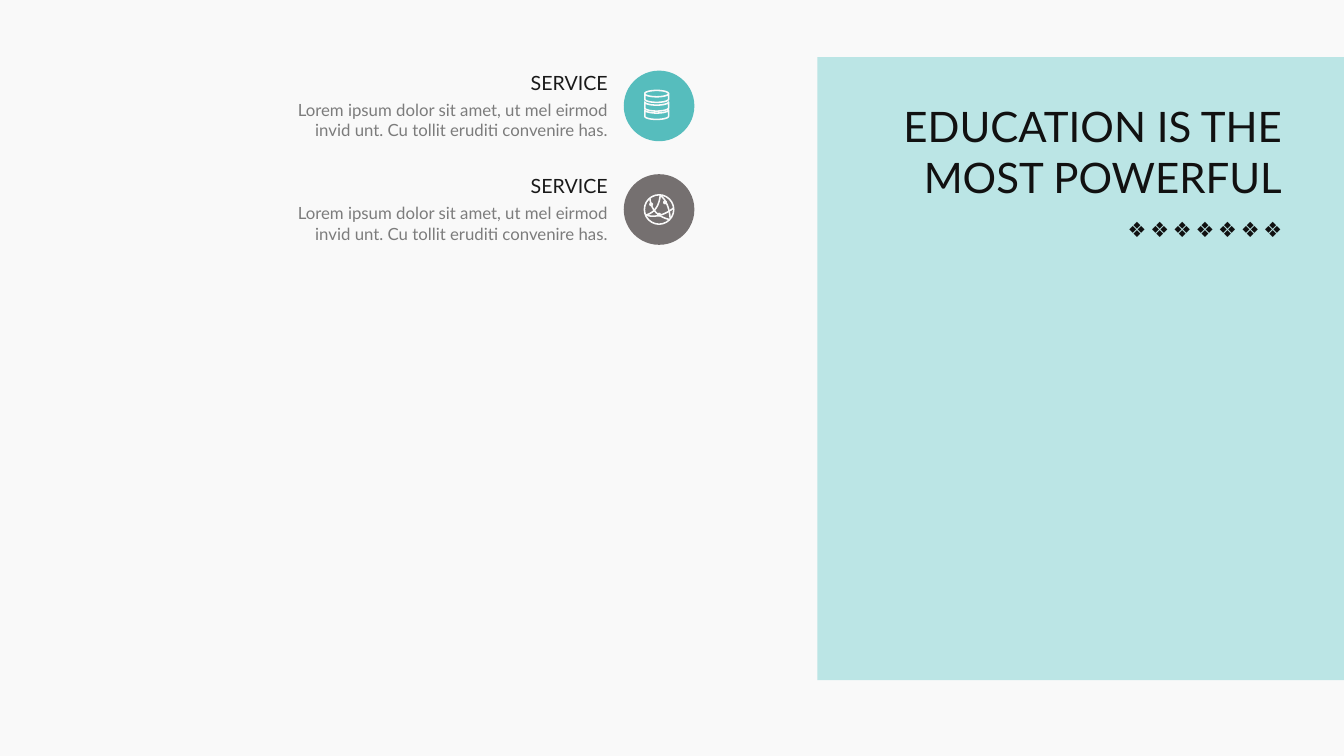
import math
from dataclasses import dataclass

import pptx
import pptx.dml.color
import pptx.enum.shapes
import pptx.enum.text
import pptx.shapes.autoshape
import pptx.slide
import pptx.util

Cm = pptx.util.Cm
RGBColor = pptx.dml.color.RGBColor
Align = pptx.enum.text.PP_ALIGN
Preset = pptx.enum.shapes.MSO_SHAPE
Point = tuple[float, float]

PAPER = RGBColor(0xF9, 0xF9, 0xF9)
PALE_TEAL = RGBColor(0xBB, 0xE5, 0xE5)
TEAL = RGBColor(0x56, 0xBD, 0xBD)
WARM_GREY = RGBColor(0x75, 0x70, 0x70)
INK = RGBColor(0x11, 0x11, 0x11)
HEADING_INK = RGBColor(0x19, 0x19, 0x19)
BODY_GREY = RGBColor(0x7C, 0x7C, 0x7C)

SLIDE_WIDTH, SLIDE_HEIGHT = 33.87, 19.05
PANEL_LEFT = 20.6
BADGE_LEFT, BADGE_SIZE = 15.72, 1.78
TEXT_RIGHT = 15.32
SERVICE_TOP, SERVICE_PITCH = 1.78, 2.61
DIAMOND_COUNT, DIAMOND_LEFT, DIAMOND_PITCH = 7, 28.42, 0.57
ARC_STEPS = 24


@dataclass
class Icon:
    strokes: list[list[Point]]
    dots: list[Point]


@dataclass
class Service:
    heading: str
    description: str
    color: RGBColor
    icon: Icon


@dataclass
class Lettering:
    font: str
    size: float
    color: RGBColor
    align: Align = Align.RIGHT
    wrap: bool = True


TITLE = Lettering("Lato", 30, INK)
HEADING = Lettering("Lato", 14, HEADING_INK)
DESCRIPTION = Lettering("Lato", 12, BODY_GREY)
ORNAMENT = Lettering("Calibri", 15, INK, Align.LEFT, False)


def arc(center: Point, rx: float, ry: float, start: float, end: float) -> list[Point]:
    angles = [math.radians(start + (end - start) * i / ARC_STEPS) for i in range(ARC_STEPS + 1)]
    return [(center[0] + rx * math.cos(a), center[1] + ry * math.sin(a)) for a in angles]


def bow(start: Point, middle: Point, end: Point) -> list[Point]:
    def blend(t: float, axis: int) -> float:
        control = 2 * middle[axis] - (start[axis] + end[axis]) / 2
        return (1 - t) ** 2 * start[axis] + 2 * t * (1 - t) * control + t**2 * end[axis]

    return [(blend(i / ARC_STEPS, 0), blend(i / ARC_STEPS, 1)) for i in range(ARC_STEPS + 1)]


def database_icon() -> Icon:
    x, rx, ry = -0.06, 0.3, 0.08
    strokes = [arc((x, -0.31), rx, ry, 0, -180)]
    for top, bottom in [(-0.31, -0.17), (-0.1, 0.05), (0.1, 0.26)]:
        rim = arc((x, top), rx, ry, 0, 180)
        strokes.append(rim + arc((x, bottom), rx, ry, 180, 0) + rim[:1])
    return Icon(strokes, [])


def network_icon() -> Icon:
    strokes = [
        arc((0, 0), 0.37, 0.37, 0, 360),
        bow((0.03, -0.36), (-0.08, -0.03), (-0.33, 0.14)),
        bow((-0.23, -0.28), (-0.09, 0.06), (0.25, 0.25)),
        bow((0.03, -0.36), (0.2, -0.13), (0.28, 0.22)),
        bow((-0.33, 0.14), (0, 0.15), (0.36, -0.03)),
    ]
    return Icon(strokes, [(-0.2, -0.13), (0.15, -0.18), (0, 0.13)])


def add_solid(
    slide: pptx.slide.Slide, preset: Preset, left: float, top: float,
    width: float, height: float, color: RGBColor,
) -> None:
    solid = slide.shapes.add_shape(preset, Cm(left), Cm(top), Cm(width), Cm(height))
    solid.shadow.inherit = False
    solid.fill.solid()
    solid.fill.fore_color.rgb = color
    solid.line.fill.background()


def add_text(
    slide: pptx.slide.Slide, text: str, left: float, top: float,
    width: float, height: float, lettering: Lettering,
) -> None:
    frame = slide.shapes.add_textbox(Cm(left), Cm(top), Cm(width), Cm(height)).text_frame
    frame.margin_left = frame.margin_top = frame.margin_right = frame.margin_bottom = 0
    frame.word_wrap = lettering.wrap
    frame.auto_size = pptx.enum.text.MSO_AUTO_SIZE.SHAPE_TO_FIT_TEXT
    paragraph = frame.paragraphs[0]
    paragraph.text = text
    paragraph.alignment = lettering.align
    paragraph.font.name = lettering.font
    paragraph.font.size = pptx.util.Pt(lettering.size)
    paragraph.font.color.rgb = lettering.color


def add_icon(slide: pptx.slide.Slide, icon: Icon, x: float, y: float) -> None:
    strokes = [[(Cm(x + dx), Cm(y + dy)) for dx, dy in stroke] for stroke in icon.strokes]
    builder = slide.shapes.build_freeform(*strokes[0][0])
    for stroke in strokes:
        builder.move_to(*stroke[0])
        builder.add_line_segments(stroke[1:], close=False)
    outline = builder.convert_to_shape()
    outline.shadow.inherit = False
    outline.fill.background()
    outline.line.color.rgb = PAPER
    outline.line.width = pptx.util.Pt(1.1)
    radius = 0.05
    for dx, dy in icon.dots:
        add_solid(slide, Preset.OVAL, x + dx - radius, y + dy - radius, 2 * radius, 2 * radius, PAPER)


def add_service(slide: pptx.slide.Slide, service: Service, top: float) -> None:
    add_solid(slide, Preset.OVAL, BADGE_LEFT, top, BADGE_SIZE, BADGE_SIZE, service.color)
    add_text(slide, service.description, TEXT_RIGHT - 8.61, top + 0.73, 8.61, 1.02, DESCRIPTION)
    add_text(slide, service.heading, TEXT_RIGHT - 2.21, top, 2.21, 0.61, HEADING)
    add_icon(slide, service.icon, BADGE_LEFT + BADGE_SIZE / 2, top + BADGE_SIZE / 2)


def main() -> None:
    presentation = pptx.Presentation()
    presentation.slide_width = Cm(SLIDE_WIDTH)
    presentation.slide_height = Cm(SLIDE_HEIGHT)
    slide = presentation.slides.add_slide(presentation.slide_layouts[6])
    slide.background.fill.solid()
    slide.background.fill.fore_color.rgb = PAPER

    add_solid(slide, Preset.RECTANGLE, PANEL_LEFT, 1.44, SLIDE_WIDTH - PANEL_LEFT, 15.7, PALE_TEAL)
    add_text(slide, "EDUCATION IS THE MOST POWERFUL", 22.2, 2.54, 10.11, 2.57, TITLE)
    for index in range(DIAMOND_COUNT):
        add_text(slide, "❖", DIAMOND_LEFT + index * DIAMOND_PITCH, 5.46, 0.48, 0.64, ORNAMENT)

    blurb = "Lorem ipsum dolor sit amet, ut mel eirmod invid unt. Cu tollit eruditi convenire has."
    services = [
        Service("SERVICE", blurb, TEAL, database_icon()),
        Service("SERVICE", blurb, WARM_GREY, network_icon()),
    ]
    for index, service in enumerate(services):
        add_service(slide, service, SERVICE_TOP + index * SERVICE_PITCH)

    presentation.save("out.pptx")


if __name__ == "__main__":
    main()
